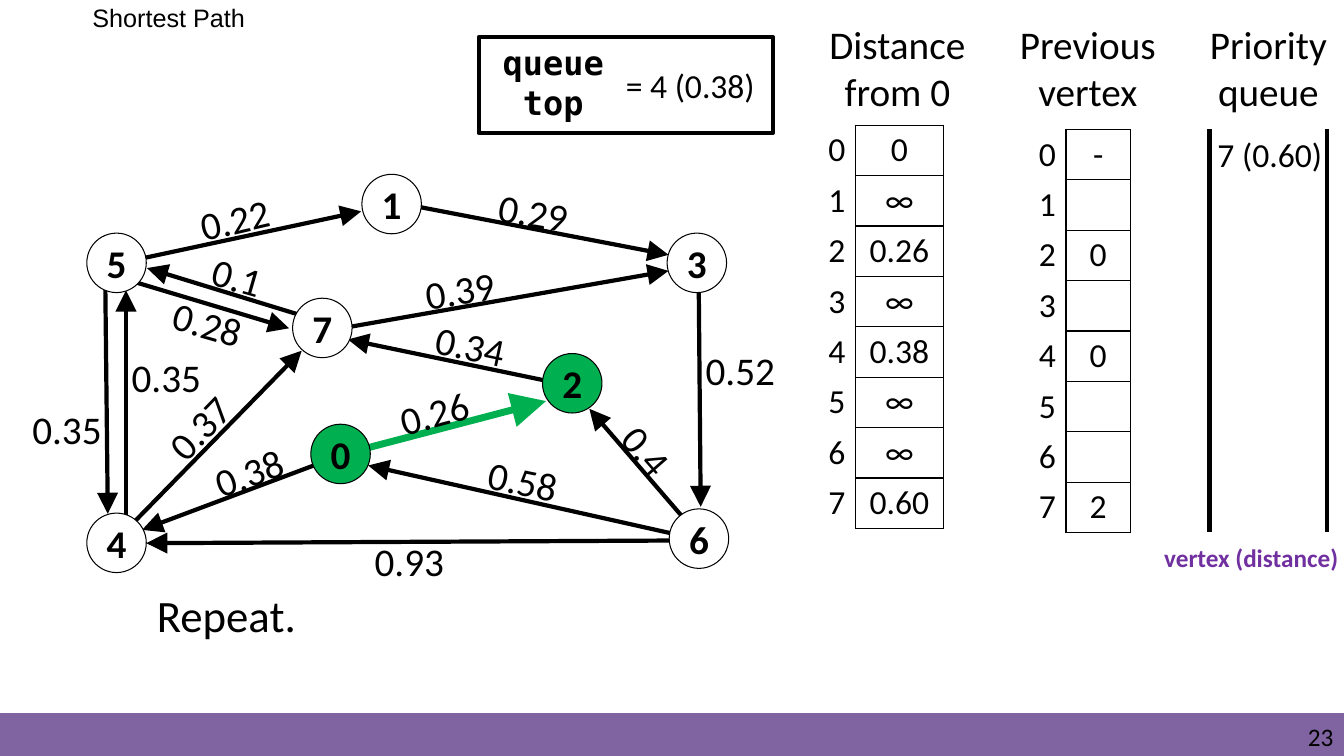
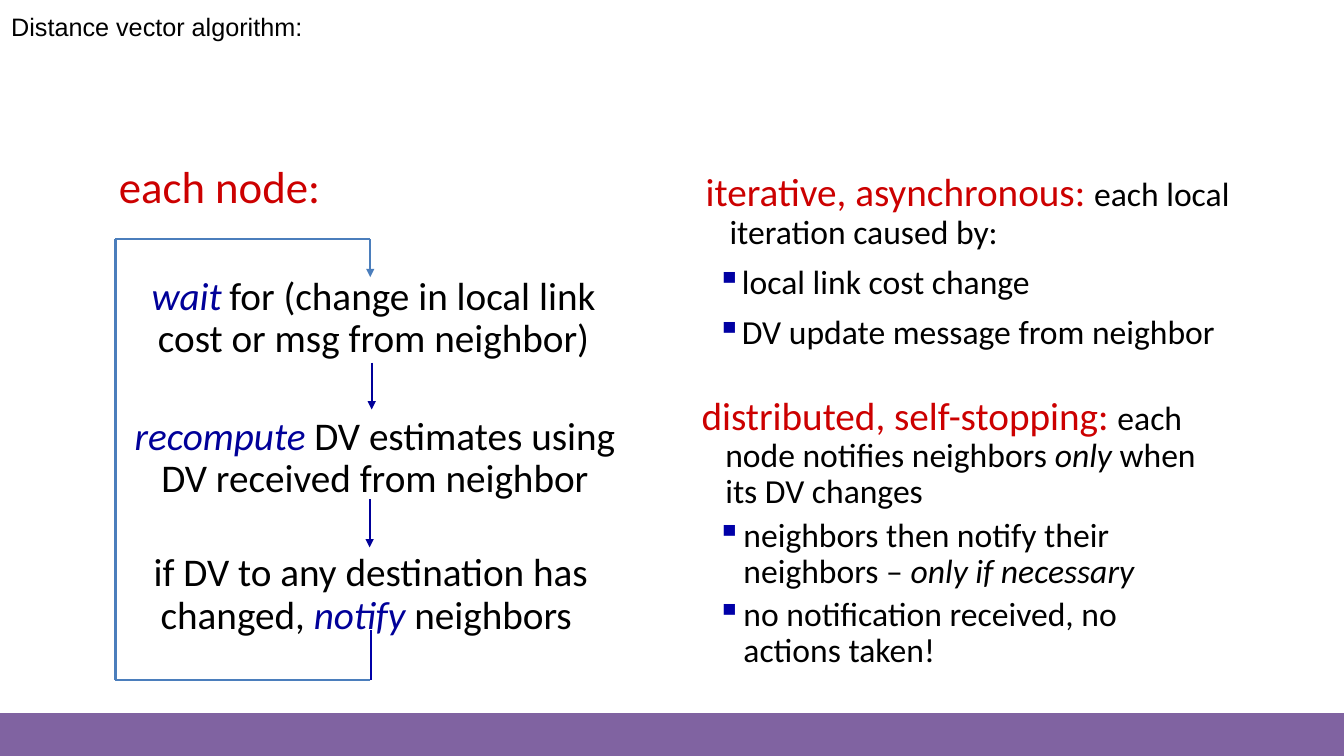
import pptx
import pptx.util
import pptx.dml.color
import pptx.enum.shapes
import pptx.enum.text
import pptx.oxml
import pptx.oxml.ns
from lxml import etree

Pt = pptx.util.Pt
Shape = pptx.enum.shapes.MSO_SHAPE
Anchor = pptx.enum.text.MSO_ANCHOR
Align = pptx.enum.text.PP_ALIGN
LEFT, MID, RIGHT = Align.LEFT, Align.CENTER, Align.RIGHT

HUES = {
    "ink": "000000", "paper": "FFFFFF", "band": "8063A1", "done": "00B050",
    "note": "7030A0", "head": "CC0000", "verb": "000099", "loop": "4B7EBC",
    "mark": "0000A3", "deep": "0000A8",
}
WIDE, HIGH = 960, 540


def hue(name):
    return pptx.dml.color.RGBColor.from_string(HUES[name])


def add(node, tag, **attrs):
    """Append a drawing element and return it."""
    child = etree.SubElement(node, pptx.oxml.ns.qn("a:" + tag))
    for key, value in attrs.items():
        child.set(key, str(value))
    return child


class Deck:
    """Holds the style and the current slide."""

    def __init__(self):
        self.prs = pptx.Presentation()
        self.prs.slide_width, self.prs.slide_height = Pt(WIDE), Pt(HIGH)
        self.slide = None

    def page(self, title, box):
        """Start a slide with its band and title."""
        self.slide = self.prs.slides.add_slide(self.prs.slide_layouts[5])
        self.shape(Shape.RECTANGLE, (0, 510, WIDE, 30), "band", "band", 1)
        head = self.slide.shapes.title
        head.left, head.top, head.width, head.height = map(Pt, box)
        self.fill(head.text_frame, [title], 18, face="Arial", inset=0)

    def font(self, font, size, color, bold=False, face="Calibri"):
        font.size, font.name, font.bold = Pt(size), face, bold
        font.color.rgb = hue(color)

    def para(self, par, runs, size, color="ink", align=LEFT, bold=False,
             face="Calibri", line=None, gap=0, hang=None, mark=None):
        """Fill a paragraph with a string, or with (text, changes) runs."""
        props = par._p.get_or_add_pPr()
        if hang:
            props.set("marL", str(Pt(hang[0])))
            props.set("indent", str(Pt(-hang[1])))
        if mark:
            add(add(props, "buClr"), "srgbClr", val=HUES[mark])
            add(props, "buChar", char="▪")
        par.alignment = align
        par.space_before = Pt(gap)
        if line:
            par.line_spacing = line
        self.font(par.font, size, color, bold, face)
        for text, change in [(runs, {})] if isinstance(runs, str) else runs:
            run = par.add_run()
            run.text = text
            if "color" in change:
                run.font.color.rgb = hue(change["color"])
            if "size" in change:
                run.font.size = Pt(change["size"])
            if "italic" in change:
                run.font.italic = change["italic"]

    def fill(self, frame, paras, size, inset=None, anchor=Anchor.TOP, **style):
        """Fill a text frame; a dict paragraph brings its own style."""
        frame.word_wrap, frame.vertical_anchor = True, anchor
        if inset is not None:
            frame.margin_left = frame.margin_right = Pt(inset)
            frame.margin_top = frame.margin_bottom = Pt(inset)
        for num, item in enumerate(paras):
            par = frame.add_paragraph() if num else frame.paragraphs[0]
            own = item if isinstance(item, dict) else {"runs": item}
            self.para(par, **{"size": size, **style, **own})

    def text(self, box, *paras, size=28, turn=0, **style):
        item = self.slide.shapes.add_textbox(*map(Pt, box))
        item.rotation = turn
        self.fill(item.text_frame, paras, size, **style)

    def shape(self, kind, box, fill, edge, width):
        item = self.slide.shapes.add_shape(kind, *map(Pt, box))
        item.shadow.inherit = False
        if fill:
            item.fill.solid()
            item.fill.fore_color.rgb = hue(fill)
        else:
            item.fill.background()
        item.line.color.rgb = hue(edge)
        item.line.width = Pt(width)
        return item

    def node(self, name, left, top, fill):
        ring = self.shape(Shape.OVAL, (left, top, 42.5, 42.5), fill, "ink", 0.75)
        self.fill(ring.text_frame, [name], 28, inset=0, anchor=Anchor.MIDDLE,
                  align=MID, bold=True)

    def line(self, ends, color="ink", width=3, head=None):
        """Draw a line; head is the arrowhead size, if any."""
        kind = pptx.enum.shapes.MSO_CONNECTOR.STRAIGHT
        item = self.slide.shapes.add_connector(kind, *map(Pt, ends))
        item.line.color.rgb = hue(color)
        item.line.width = Pt(width)
        if head:
            add(item.line._get_or_add_ln(), "tailEnd",
                type="triangle", w=head, len=head)
        add(item._element.spPr, "effectLst")

    def table(self, left, top, widths, values):
        """Draw numbered rows with a framed value column."""
        grid = self.slide.shapes.add_table(
            len(values), 2, Pt(left), Pt(top), Pt(sum(widths)),
            Pt(36 * len(values))).table
        grid.first_row = grid.horz_banding = False
        for col, width in zip(grid.columns, widths):
            col.width = Pt(width)
        for num, value in enumerate(values):
            grid.rows[num].height = Pt(36)
            self.cell(grid.cell(num, 0), str(num), RIGHT, ["lnR"])
            self.cell(grid.cell(num, 1), value, MID,
                      ["lnL", "lnR", "lnT", "lnB"])

    def cell(self, cell, text, align, sides):
        cell.margin_top = cell.margin_bottom = Pt(3)
        cell.vertical_anchor = Anchor.MIDDLE
        props = cell._tc.get_or_add_tcPr()
        for side in sides:
            edge = add(props, side, w=Pt(1))
            add(add(edge, "solidFill"), "srgbClr", val=HUES["ink"])
        cell.fill.background()
        self.para(cell.text_frame.paragraphs[0], text, 24, align=align)


EDGES = [
    (502, 386, 421, 292), (497.5, 385, 263, 332.5), (499, 386, 104.5, 388),
    (245.5, 324.5, 101.5, 378.5), (409.5, 276, 248.5, 242.5),
    (81.5, 387.5, 215.5, 250.5), (235.5, 236, 477.5, 193.5),
    (499, 191, 500.5, 362), (229, 229.5, 105, 191.5),
    (78, 196, 206.5, 234.5), (75, 182, 77, 367), (90, 381, 90, 207.5),
    (85.5, 188, 258, 151), (282, 144.5, 477.5, 182),
]
NODES = [
    (222, 303), (258.5, 124.5), (387.5, 252.5), (476.5, 166.5),
    (62, 366.5), (62, 166.5), (478, 363.5), (209, 213),
]
COSTS = [
    ("0.35", 87, 249, 0), ("0.35", 16, 286, 0), ("0.37", 108, 278.5, -46),
    ("0.1", 144, 181.5, 16), ("0.28", 116, 213, 16),
    ("0.22", 135.5, 134, -13), ("0.38", 145.5, 314, -20),
    ("0.26", 278, 272, -15), ("0.39", 296.5, 185, -9),
    ("0.29", 349, 132.5, 10), ("0.34", 304, 228, 12), ("0.52", 497, 244, 0),
    ("0.93", 260.5, 380, 0), ("0.58", 341.5, 324.5, 12),
    ("0.4", 431.5, 313, 49),
]


def graph(deck):
    deck.page("Shortest Path", (66, 1.5, 828, 104))
    for ends in EDGES:
        deck.line(ends, head="lg")
    deck.line((245, 324.5, 390, 286.5), "done", 5, "lg")
    for num, (left, top) in enumerate(NODES):
        deck.node(str(num), left, top, "done" if num in (0, 2) else "paper")
    for cost, left, top, turn in COSTS:
        deck.text((left, top, 81, 42), cost, turn=turn)

    heads = [("Distance from 0", 579.5), ("Previous vertex", 715.5),
             ("Priority queue", 844.5)]
    for head, left in heads:
        deck.text((left, 11, 123, 75), head, align=MID)
    deck.table(566, 89.5, (45, 63),
               ["0", "∞", "0.26", "∞", "0.38", "∞", "∞", "0.60"])
    deck.table(715.5, 92.5, (46, 46), ["-", "", "0", "", "0", "", "", "2"])
    deck.text((853, 92, 108, 36), "7 (0.60)", size=24, align=MID)
    for left in (864, 948):
        deck.line((left, 92, left, 380))
    deck.text((824.5, 384, 147, 29), "vertex (distance)", size=18,
              color="note", bold=True)

    deck.shape(Shape.RECTANGLE, (342, 26.5, 210, 68.5), None, "ink", 3)
    deck.text((347, 26.5, 96.5, 65.5), "queue", "top", size=24, align=MID,
              bold=True, face="DejaVu Sans Mono")
    deck.text((440, 43, 134, 36), "= 4 (0.38)", size=24)
    deck.text((105, 416, 789, 48), "Repeat.", size=32)
    deck.text((919.5, 515, 33, 22), "23", size=18, align=RIGHT, inset=0)


def vector(deck):
    deck.page("Distance vector algorithm:", (8, 8, 443, 35))
    deck.text((77, 110, 160, 46), "each node:", size=32, color="head",
              align=MID)
    verb = {"color": "verb", "italic": True}
    steps = [
        (85, 194, [("wait", verb), (" ", {"size": 24}),
                   ("for (change in local link cost or msg from neighbor)", {})]),
        (86, 294, [("recompute", verb),
                   (" DV estimates using DV received from neighbor", {})]),
        (83, 391.5, [("if DV to any destination has changed, ", {}),
                     ("notify", verb), (" neighbors ", {})]),
    ]
    for left, top, runs in steps:
        deck.text((left, top, 363.5, 70), runs, align=MID, line=0.9)
    for ends in [(265.5, 259, 265.5, 292.5), (264, 356.5, 264, 391)]:
        deck.line(ends, "verb", 1.5, "med")
    deck.line((265, 486, 265, 450), "deep", 1.5)
    deck.line((264.5, 171, 264.5, 198), "loop", 1.5, "med")
    for ends in [(82.5, 486, 264.5, 486), (82.5, 171, 264.5, 171),
                 (82.5, 171, 82.5, 486)]:
        deck.line(ends, "loop", 1.5)

    head = {"color": "head", "size": 28}
    slant = {"italic": True}
    item = {"hang": (36, 17), "gap": 10, "mark": "mark"}
    deck.text(
        (486, 120, 425.5, 155.5),
        {"runs": [("iterative, asynchronous: ", head),
                  ("each local iteration caused by:", {})], "hang": (28, 17)},
        {"runs": "local link cost change", **item},
        {"runs": "DV update message from neighbor", **item},
        size=24, line=0.9)
    item = {"hang": (41, 19), "gap": 5, "mark": "deep"}
    deck.text(
        (483, 279.5, 389, 229.5),
        {"runs": [("distributed, self-stopping: ", head),
                  ("each node notifies neighbors ", {}), ("only", slant),
                  (" when its DV changes", {})], "hang": (28, 17)},
        {"runs": [("neighbors then notify their neighbors – ", {}),
                  ("only if necessary", slant)], **item},
        {"runs": "no notification received, no actions taken!", **item},
        size=24, line=0.9)


def main():
    deck = Deck()
    graph(deck)
    vector(deck)
    deck.prs.save("out.pptx")


if __name__ == "__main__":
    main()
